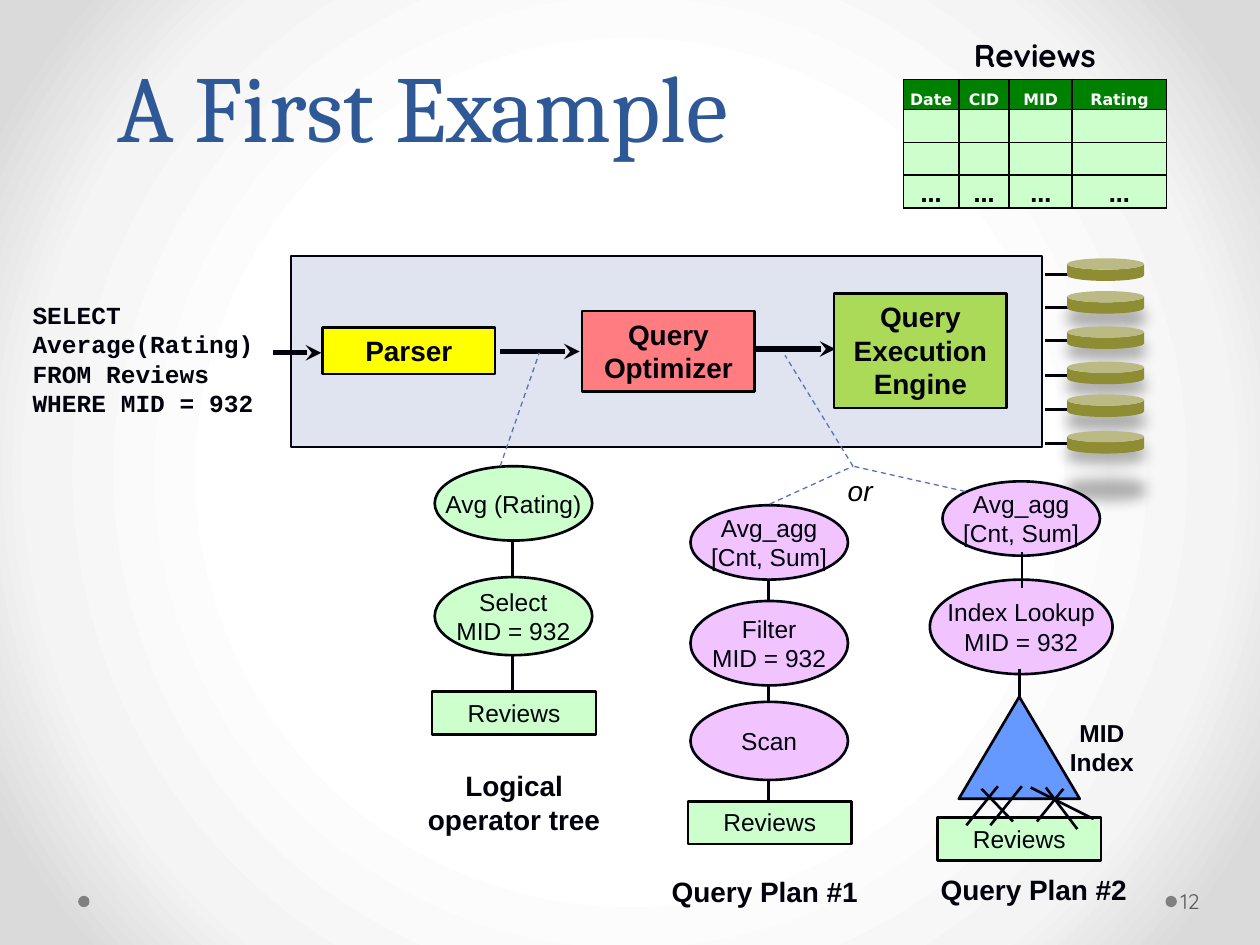
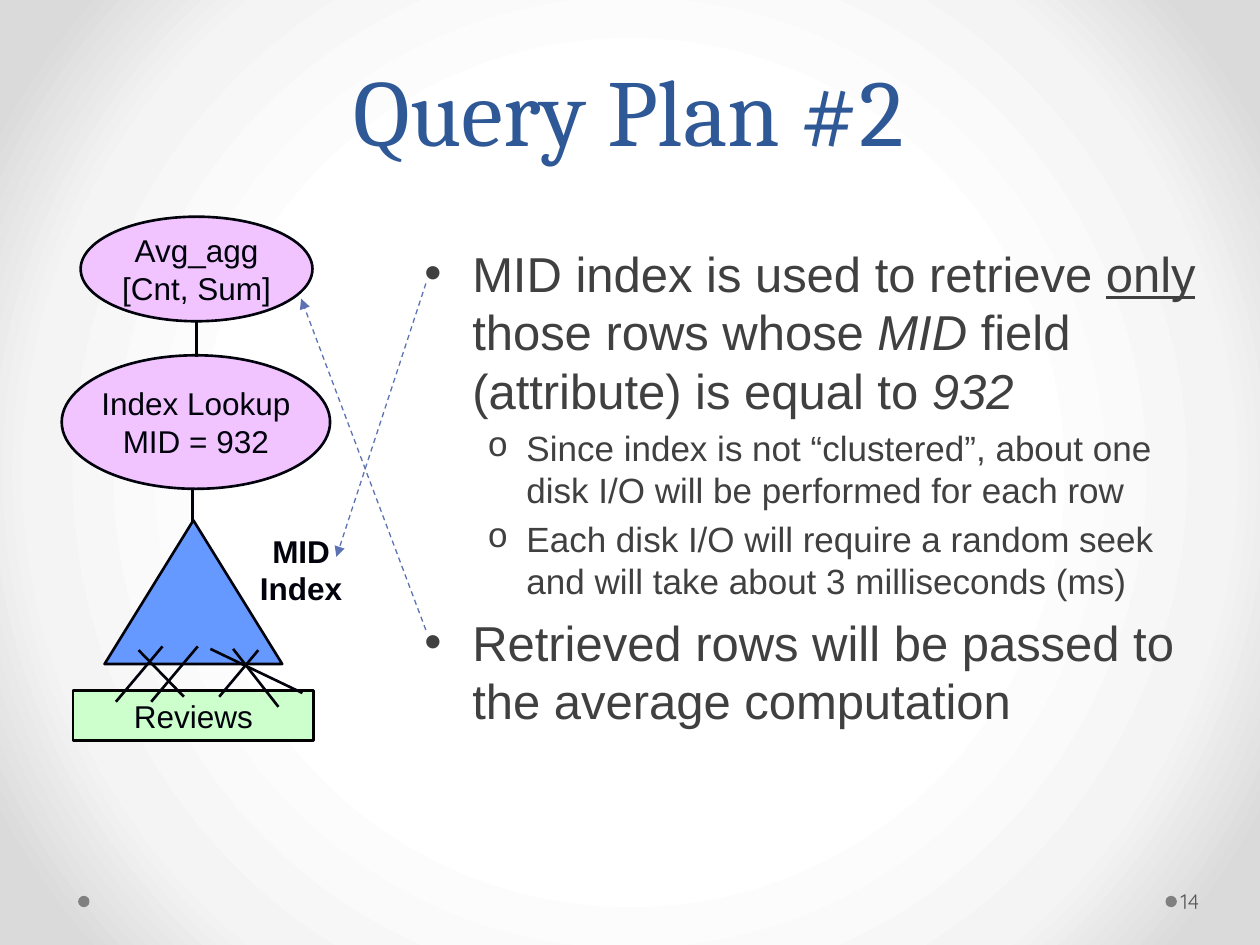
from copy import deepcopy
from dataclasses import dataclass, replace
from itertools import pairwise
from typing import NamedTuple, Optional

from lxml.etree import SubElement
from pptx import Presentation
from pptx.dml.color import RGBColor
from pptx.enum.dml import MSO_LINE_DASH_STYLE as Dash
from pptx.enum.shapes import MSO_CONNECTOR as Conn, MSO_SHAPE as Geo
from pptx.enum.text import MSO_ANCHOR as Anchor, PP_ALIGN as Align
from pptx.oxml import parse_xml
from pptx.oxml.ns import nsdecls, qn
from pptx.util import Emu, Pt

PX = 9144
INK = RGBColor(0x01, 0x02, 0x0B)
BLACK = RGBColor(0, 0, 0)
WHITE = RGBColor(0xFF, 0xFF, 0xFF)
TITLE_BLUE = RGBColor(0x2F, 0x58, 0x97)
BODY_GRAY = RGBColor(0x40, 0x40, 0x40)
NUMBER_GRAY = RGBColor(0x59, 0x59, 0x59)
DOT_GRAY = RGBColor(0x80, 0x80, 0x80)
PANEL = RGBColor(0xDF, 0xE4, 0xF0)
LIME = RGBColor(0xAB, 0xD9, 0x58)
CORAL = RGBColor(0xFF, 0x7C, 0x80)
YELLOW = RGBColor(0xFF, 0xFF, 0x00)
OLIVE = RGBColor(0x8E, 0x8D, 0x34)
MINT = RGBColor(0xCC, 0xFF, 0xCC)
LILAC = RGBColor(0xF1, 0xC4, 0xFF)
INDEX_BLUE = RGBColor(0x66, 0x99, 0xFF)
HEADER_GREEN = RGBColor(0x00, 0x80, 0x00)
CALLOUT = RGBColor(0x5C, 0x72, 0xB2)

BACKGROUND = parse_xml(
    f'<p:bg {nsdecls("p", "a")}><p:bgPr><a:gradFill rotWithShape="1"><a:gsLst>'
    '<a:gs pos="50000"><a:srgbClr val="FFFFFF"/></a:gs>'
    '<a:gs pos="76000"><a:srgbClr val="F4F4F4"/></a:gs>'
    '<a:gs pos="92000"><a:srgbClr val="DADADA"/></a:gs></a:gsLst>'
    '<a:path path="circle"><a:fillToRect l="50000" t="50000" r="50000" b="50000"/></a:path>'
    '</a:gradFill><a:effectLst/></p:bgPr></p:bg>')
DISK_SHADOW = parse_xml(
    f'<a:effectLst {nsdecls("a")}><a:outerShdw blurRad="101600" dist="342900" dir="5400000">'
    '<a:srgbClr val="000000"><a:alpha val="30000"/></a:srgbClr></a:outerShdw></a:effectLst>')


class Box(NamedTuple):
    x: int
    y: int
    w: int
    h: int


class Link(NamedTuple):
    x1: int
    y1: int
    x2: int
    y2: int


@dataclass(frozen=True)
class Style:
    size: int = 14
    font: str = "Arial"
    color: RGBColor = INK
    bold: bool = False
    italic: bool = False
    underline: bool = False


@dataclass(frozen=True)
class Node:
    geo: Geo
    box: Box
    text: str
    fill: RGBColor
    style: Style = Style()


@dataclass(frozen=True)
class Frame:
    x: int = 748
    y: int = 382
    sx: float = 1.0
    sy: float = 1.0

    def box(self, b: Box) -> Box:
        return Box(round(self.x + (b.x - 748) * self.sx), round(self.y + (b.y - 382) * self.sy),
                   round(b.w * self.sx), round(b.h * self.sy))

    def link(self, k: Link) -> Link:
        a = self.box(Box(k.x1, k.y1, 0, 0))
        b = self.box(Box(k.x2, k.y2, 0, 0))
        return Link(a.x, a.y, b.x, b.y)


CAPTION = Style(16, bold=True)
CODE = Style(14, "Courier New", bold=True)
HEAD = Style(9, "DejaVu Sans", WHITE, True)
BODY = Style(28, color=BODY_GRAY)
SUB = replace(BODY, size=20)
CROSSINGS = [Link(779, 626, 804, 652), Link(792, 624, 767, 655), Link(811, 624, 786, 655),
             Link(830, 625, 855, 658), Link(844, 626, 823, 652), Link(818, 625, 868, 650)]


def px(n: float) -> Emu:
    return Emu(round(n * PX))


def add_run(p, text: str, st: Style) -> None:
    r = p.add_run()
    r.text = text
    f = r.font
    f.size, f.name, f.bold, f.italic = Pt(st.size), st.font, st.bold, st.italic
    f.underline = st.underline
    f.color.rgb = st.color


def write(tf, paras: list[str], st: Style, align=Align.CENTER, anchor=Anchor.TOP, wrap=True) -> None:
    tf.word_wrap = wrap
    tf.vertical_anchor = anchor
    for i, text in enumerate(paras):
        p = tf.add_paragraph() if i else tf.paragraphs[0]
        p.alignment = align
        for j, line in enumerate(text.split("\n")):
            if j:
                p.add_line_break()
            add_run(p, line, st)


def add_text(slide, box: Box, paras: list[str], st: Style, **layout):
    sp = slide.shapes.add_textbox(*map(px, box))
    write(sp.text_frame, paras, st, **layout)
    return sp


def add_geo(slide, geo: Geo, box: Box, fill: RGBColor, line: Optional[RGBColor] = INK,
            width: float = 1.5):
    sp = slide.shapes.add_shape(geo, *map(px, box))
    sp.shadow.inherit = False
    sp.fill.solid()
    sp.fill.fore_color.rgb = fill
    if line is None:
        sp.line.fill.background()
    else:
        sp.line.color.rgb = line
        sp.line.width = Pt(width)
    return sp


def add_node(slide, n: Node) -> None:
    oval = n.geo == Geo.OVAL
    sp = add_geo(slide, n.geo, n.box, n.fill, INK if oval else BLACK)
    write(sp.text_frame, [n.text], n.style, anchor=Anchor.MIDDLE if oval else Anchor.TOP,
          wrap=not oval)


def add_line(slide, k: Link, width: float = 1.5, color: RGBColor = INK, dashed: bool = False,
             arrow: str = "") -> None:
    c = slide.shapes.add_connector(Conn.STRAIGHT, *map(px, k))
    c.line.color.rgb = color
    c.line.width = Pt(width)
    if dashed:
        c.line.dash_style = Dash.DASH
    sp_pr = c.element.spPr
    if arrow:
        SubElement(sp_pr.find(qn("a:ln")), qn("a:tailEnd"), type=arrow)
    SubElement(sp_pr, qn("a:effectLst"))


def add_callout(slide, k: Link, arrow: str = "") -> None:
    add_line(slide, k, 0.75, CALLOUT, True, arrow)


def add_chain(slide, nodes: list[Node]) -> None:
    for n in nodes:
        add_node(slide, n)
    for a, b in pairwise(n.box for n in nodes):
        mid = a.x + a.w // 2
        add_line(slide, Link(mid, a.y + a.h, mid, b.y))


def add_index_plan(slide, frame: Frame, size: int, stems: list[Link], label: Box, leaf_h: int) -> None:
    st = Style(size)
    add_node(slide, Node(Geo.OVAL, frame.box(Box(748, 382, 125, 59)), "Avg_agg\n[Cnt, Sum]", LILAC, st))
    add_node(slide, Node(Geo.OVAL, frame.box(Box(738, 460, 145, 75)), "Index Lookup\nMID = 932", LILAC, st))
    for stem in stems:
        add_line(slide, stem)
    add_text(slide, label, ["MID Index"], replace(st, bold=True))
    add_geo(slide, Geo.ISOSCELES_TRIANGLE, frame.box(Box(761, 553, 96, 81)), INDEX_BLUE)
    leaf = frame.box(Box(744, 649, 130, 34))._replace(h=leaf_h)
    add_node(slide, Node(Geo.RECTANGLE, leaf, "Reviews", MINT, st))
    for k in CROSSINGS:
        add_line(slide, frame.link(k))


def add_reviews_table(slide) -> None:
    cols, rows = [44, 40, 50, 75], [24, 26, 26, 26]
    table = slide.shapes.add_table(4, 4, px(717), px(63), px(sum(cols)), px(sum(rows))).table
    table.first_row = table.horz_banding = False
    for col, w in zip(table.columns, cols):
        col.width = px(w)
    for row, h in zip(table.rows, rows):
        row.height = px(h)
    content = [["Date", "CID", "MID", "Rating"], [""] * 4, [""] * 4, ["…"] * 4]
    for r, texts in enumerate(content):
        for c, text in enumerate(texts):
            cell = table.cell(r, c)
            cell.fill.solid()
            cell.fill.fore_color.rgb = MINT if r else HEADER_GREEN
            cell.margin_left = cell.margin_right = cell.margin_top = px(1)
            cell.margin_bottom = 0
            cell.vertical_anchor = Anchor.BOTTOM
            p = cell.text_frame.paragraphs[0]
            p.alignment = Align.CENTER
            if text:
                add_run(p, text, replace(HEAD, size=12, color=BLACK) if r else HEAD)
            else:
                SubElement(p._p, qn("a:endParaRPr"), sz="900")
            tc_pr = cell._tc.get_or_add_tcPr()
            for i, side in enumerate("LRTB"):
                tc_pr.insert(i, parse_xml(
                    f'<a:ln{side} {nsdecls("a")} w="12700"><a:solidFill>'
                    f'<a:srgbClr val="{BLACK}"/></a:solidFill></a:ln{side}>'))


def new_slide(prs, title: str, title_box: Box, number: int):
    slide = prs.slides.add_slide(prs.slide_layouts[6])
    slide.element.cSld.insert(0, deepcopy(BACKGROUND))
    for x in (925, 62):
        add_geo(slide, Geo.OVAL, Box(x, 711, 9, 9), DOT_GRAY, None)
    sp = add_text(slide, title_box, [title], Style(54, "Cambria", TITLE_BLUE), anchor=Anchor.BOTTOM)
    sp.text_frame.paragraphs[0].line_spacing = Pt(58)
    sp = add_text(slide, Box(934, 695, 61, 40), [str(number)], Style(12, "Quicksand", NUMBER_GRAY),
                  align=Align.LEFT, anchor=Anchor.MIDDLE)
    tf = sp.text_frame
    tf.margin_left, tf.margin_right = px(3), px(5)
    return slide


def add_bullet(tf, level: int, runs: list[tuple[str, Style]]) -> None:
    first = not tf.paragraphs[0].runs
    p = tf.paragraphs[0] if first else tf.add_paragraph()
    indent, hang, char, font = [(38, 38, "•", "Arial"), (81, 31, "o", "Courier New")][level]
    p.level = level
    if not first:
        p.space_before = Pt(round(runs[0][1].size * 0.2))
    p_pr = p._p.get_or_add_pPr()
    p_pr.set("marL", str(px(indent)))
    p_pr.set("indent", str(px(-hang)))
    SubElement(p_pr, qn("a:buFont"), typeface=font)
    SubElement(p_pr, qn("a:buChar"), char=char)
    for text, st in runs:
        add_run(p, text, st)


def build_example(prs) -> None:
    s = new_slide(prs, "A First Example", Box(27, 8, 617, 125), 12)
    add_geo(s, Geo.RECTANGLE, Box(231, 203, 596, 152), PANEL, INK, 1)
    for box, text, fill in [(Box(662, 233, 137, 91), "Query Execution Engine", LIME),
                            (Box(462, 247, 137, 64), "Query Optimizer", CORAL),
                            (Box(256, 260, 137, 37), "Parser", YELLOW)]:
        add_node(s, Node(Geo.RECTANGLE, box, text, fill, CAPTION))
    for y in (218, 244, 270, 298, 325, 352):
        add_line(s, Link(851, y, 829, y), 1.75)
    for y in (205, 231, 259, 287, 313, 342):
        disk = add_geo(s, Geo.CAN, Box(847, y, 61, 18), OLIVE, None)
        disk.adjustments[0] = 0.5
        sp_pr = disk.element.spPr
        sp_pr.replace(sp_pr.find(qn("a:effectLst")), deepcopy(DISK_SHADOW))
    add_text(s, Box(16, 233, 218, 128), ["SELECT\nAverage(Rating)", "FROM Reviews\nWHERE MID = 932"],
             CODE, align=Align.LEFT)
    for x1, x2, y in [(397, 460, 279), (600, 663, 277), (217, 255, 280)]:
        add_line(s, Link(x1, y, x2, y), 3, arrow="stealth")
    add_text(s, Box(763, 24, 119, 40), ["Reviews"], Style(18, "Quicksand", bold=True),
             align=Align.LEFT, wrap=False)
    add_reviews_table(s)

    add_chain(s, [Node(Geo.OVAL, Box(345, 370, 125, 59), "Avg (Rating)", MINT),
                  Node(Geo.OVAL, Box(345, 458, 125, 62), "Select\nMID = 932", MINT),
                  Node(Geo.RECTANGLE, Box(343, 549, 130, 34), "Reviews", MINT)])
    add_chain(s, [Node(Geo.OVAL, Box(548, 401, 125, 59), "Avg_agg\n[Cnt, Sum]", LILAC),
                  Node(Geo.OVAL, Box(548, 477, 125, 67), "Filter\nMID = 932", LILAC),
                  Node(Geo.OVAL, Box(548, 557, 125, 62), "Scan", LILAC),
                  Node(Geo.RECTANGLE, Box(546, 636, 130, 34), "Reviews", MINT)])
    add_index_plan(s, Frame(), 14, [Link(811, 438, 811, 467), Link(809, 531, 809, 559)],
                   Box(837, 565, 75, 57), 34)
    for box, text in [(Box(327, 605, 162, 64), "Logical operator tree"),
                      (Box(506, 689, 202, 37), "Query Plan #1"),
                      (Box(722, 688, 197, 37), "Query Plan #2")]:
        add_text(s, box, [text], CAPTION)
    for k in [Link(397, 370, 428, 280), Link(677, 370, 623, 282),
              Link(611, 400, 677, 370), Link(766, 390, 677, 370)]:
        add_callout(s, k)
    add_text(s, Box(663, 371, 40, 37), ["or"], Style(16, color=BLACK, italic=True),
             align=Align.LEFT, wrap=False)


def build_plan(prs) -> None:
    s = new_slide(prs, "Query Plan #2", Box(49, 36, 900, 100), 14)
    tf = s.shapes.add_textbox(*map(px, Box(327, 188, 643, 449))).text_frame
    tf.word_wrap = True
    italic = replace(BODY, italic=True)
    add_bullet(tf, 0, [("MID index is used to retrieve ", BODY),
                       ("only ", replace(BODY, underline=True)),
                       ("those rows whose ", BODY), ("MID", italic),
                       (" field (attribute) is equal to ", BODY), ("932", italic)])
    for text in ["Since index is not “clustered”, about one disk I/O will be performed for each row",
                 "Each disk I/O will require a random seek and will take about 3 milliseconds (ms)"]:
        add_bullet(tf, 1, [(text, SUB)])
    add_bullet(tf, 0, [("Retrieved rows will be passed to the average computation", BODY)])
    add_index_plan(s, Frame(64, 172, 1.47, 1.41), 18,
                   [Link(156, 255, 156, 283), Link(153, 387, 153, 417)], Box(184, 417, 110, 71), 40)
    for k in [Link(338, 225, 267, 442), Link(338, 500, 239, 237)]:
        add_callout(s, k, "triangle")


def main() -> None:
    prs = Presentation()
    prs.slide_width, prs.slide_height = px(1000), px(750)
    build_example(prs)
    build_plan(prs)
    prs.save("out.pptx")


if __name__ == "__main__":
    main()
